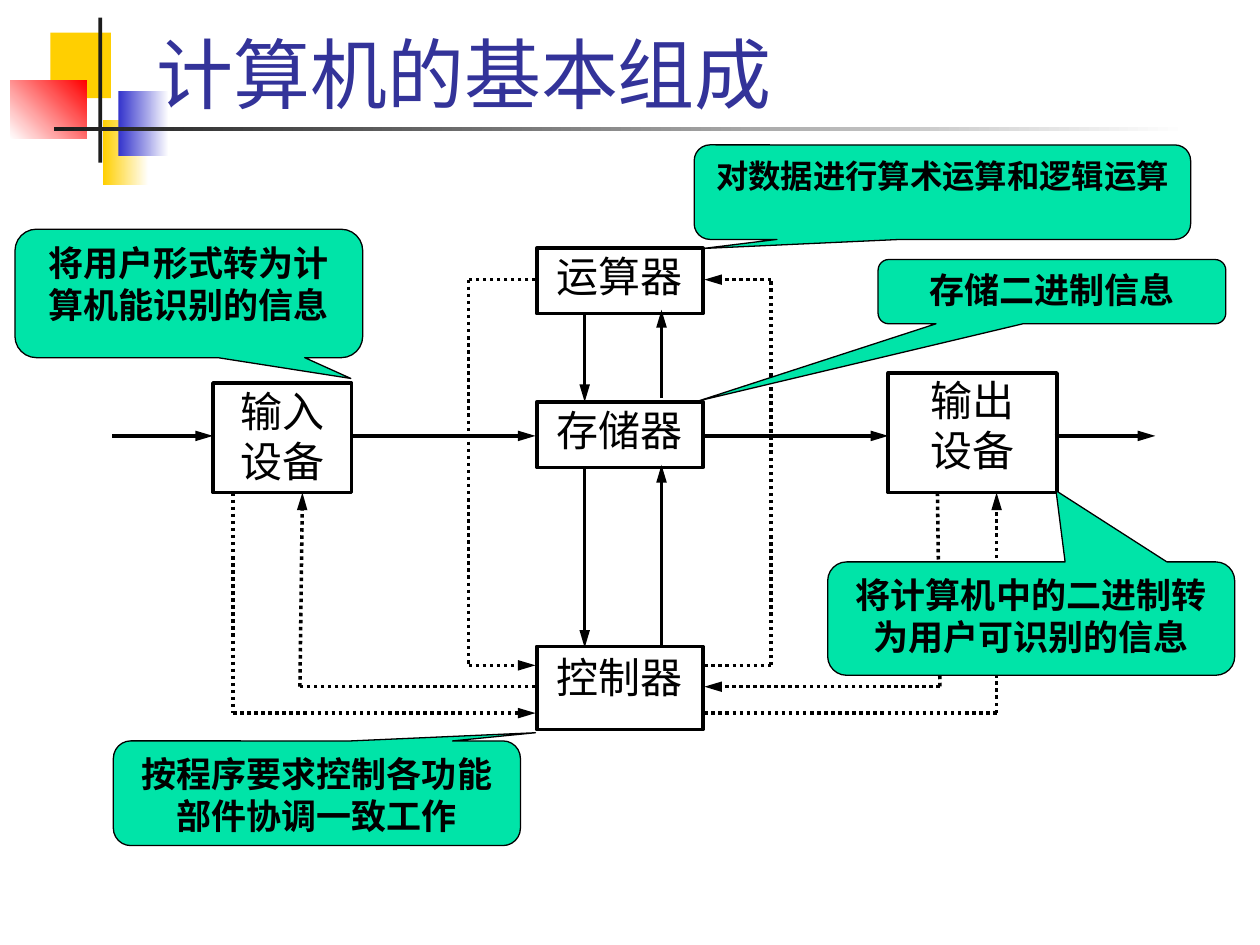
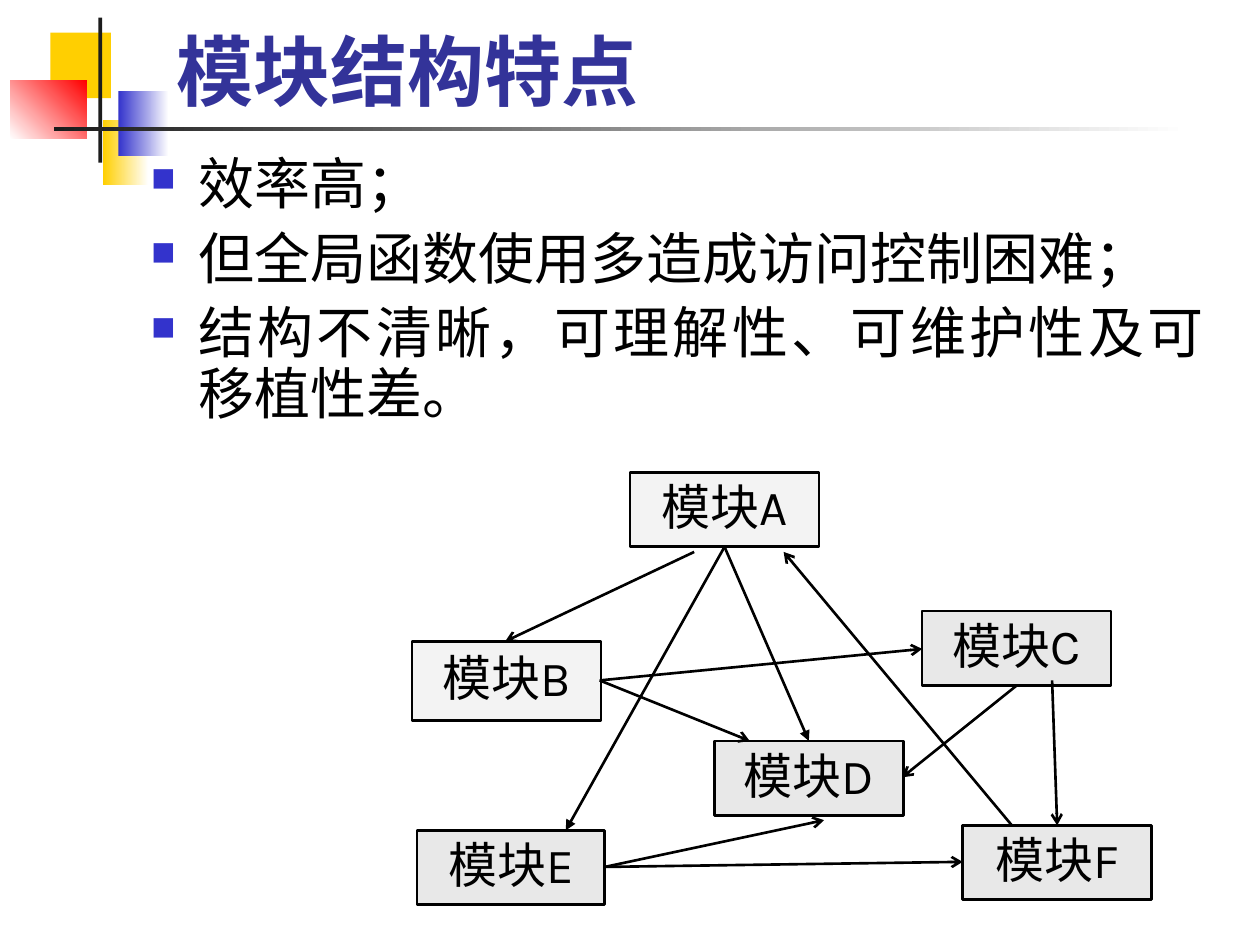
from dataclasses import dataclass
from itertools import pairwise
from typing import Optional

import lxml.etree
import pptx
import pptx.dml.color
import pptx.enum.dml
import pptx.enum.shapes
import pptx.enum.text
import pptx.oxml.ns
import pptx.util

Pt = pptx.util.Pt
qn = pptx.oxml.ns.qn
ALIGN = pptx.enum.text.PP_ALIGN
ANCHOR = pptx.enum.text.MSO_ANCHOR
SHAPE = pptx.enum.shapes.MSO_SHAPE

COLORS = {
    "white": "FFFFFF",
    "black": "000000",
    "ink": "1C1C1C",
    "yellow": "FFCF01",
    "blue": "3333CC",
    "red": "FF0000",
    "title": "333399",
    "callout": "00E4A8",
    "module": "E8E8E8",
}
DISPLAY = "Karla"
SERIF = "Times New Roman"

Point = tuple[float, float]
Frame = tuple[float, float, float, float]


@dataclass(frozen=True)
class Style:
    size: float
    font: str
    color: str = "black"
    bold: bool = False
    align: Optional[ALIGN] = ALIGN.CENTER
    anchor: ANCHOR = ANCHOR.TOP
    insets: Point = (7.2, 3.6)
    wrap: bool = True
    spacing: Optional[float] = None


@dataclass(frozen=True)
class Ornament:
    frame: Frame
    start: str
    end: Optional[str] = None
    angle: float = 0


@dataclass(frozen=True)
class Unit:
    frame: Frame
    lines: tuple[str, ...]
    insets: Point


@dataclass(frozen=True)
class Callout:
    frame: Frame
    tip: Point
    text: str
    size: float = 20


@dataclass(frozen=True)
class Module:
    letter: str
    frame: Frame
    opacity: int = 100


@dataclass(frozen=True)
class Stroke:
    width: float
    head: str = "triangle"
    length: str = "med"
    dotted: bool = False


ORNAMENTS = [
    Ornament((28.8, 18.7, 34.6, 37.4), "yellow"),
    Ornament((59, 68.4, 25.9, 37.4), "yellow", "white"),
    Ornament((67.7, 51.8, 28.8, 37.4), "blue", "white"),
    Ornament((5.8, 46.1, 43.9, 33.1), "white", "red", 45),
    Ornament((56.2, 10.1, 2.2, 82.8), "ink"),
    Ornament((31, 72.7, 648, 2.2), "ink", "white"),
]

UNITS = [
    Unit((306.7, 141.8, 95, 37.4), ("运算器",), (7.2, 1.44)),
    Unit((306.7, 229.7, 95, 37.4), ("存储器",), (7.2, 1.44)),
    Unit((306.7, 369.4, 95, 47.5), ("控制器",), (7.2, 2.88)),
    Unit((121.7, 218.9, 79.2, 62.6), ("输入", "设备"), (1.44, 1.44)),
    Unit((507.6, 213.1, 96.5, 68.4), ("输出", "设备"), (1.44, 0.72)),
]

DATA_ROUTES = [
    [(64.1, 249.1), (121.7, 249.1)],
    [(200.9, 249.1), (306, 249.1)],
    [(402.5, 249.1), (507.6, 249.1)],
    [(602.6, 249.1), (660.2, 249.1)],
    [(334.1, 178.6), (334.1, 229.7)],
    [(378, 227.5), (378, 177.1)],
    [(334.1, 267.1), (334.1, 370.1)],
    [(378, 368.6), (378, 265.7)],
]

CONTROL_ROUTES = [
    [(306, 159.8), (267.8, 159.8), (267.8, 380.2), (306, 380.2)],
    [(402.5, 380.2), (440.6, 380.2), (440.6, 159.8), (402.5, 159.8)],
    [(306, 392.4), (171.4, 392.4), (172.8, 281.5)],
    [(133.2, 281.5), (133.2, 407.5), (306, 407.5)],
    [(535.7, 281.5), (537.1, 392.4), (402.5, 392.4)],
    [(402.5, 407.5), (569.5, 407.5), (569.5, 281.5)],
]

CALLOUTS = [
    Callout((396.7, 82.8, 283.7, 54), (401.8, 142), "对数据进行算术运算和逻辑运算", 18.5),
    Callout((501.8, 148.3, 198.7, 36.7), (399.5, 229), "存储二进制信息"),
    Callout((64.8, 423.4, 232.6, 59.8), (306, 418.7), "按程序要求控制各功能部件协调一致工作"),
    Callout((8.6, 131, 198.7, 73.4), (200.5, 216.3), "将用户形式转为计算机能识别的信息"),
    Callout((473, 321.1, 232.6, 64.8), (603.5, 280.4), "将计算机中的二进制转为用户可识别的信息"),
]

FEATURES = [
    "效率高；",
    "但全局函数使用多造成访问控制困难；",
    "结构不清晰，可理解性、可维护性及可移植性差。",
]

MODULES = [
    Module("A", (360, 270, 108, 42.5), 48),
    Module("B", (235.4, 366.5, 108, 45.4), 52),
    Module("C", (527, 349.2, 108, 42.5)),
    Module("D", (408.2, 423.4, 108, 42.5)),
    Module("E", (238.3, 474.5, 107.3, 42.5)),
    Module("F", (550.1, 471.6, 108, 42.5)),
]

FILLED_CALLS = [
    [(414, 312.5), (462.2, 423.4)],
    [(414, 312.5), (323.3, 474.5)],
]

OPEN_CALLS = [
    [(342.7, 388.8), (527, 370.8)],
    [(396.7, 315.4), (288.7, 366.5)],
    [(581, 391.7), (515.5, 444.2)],
    [(342.7, 388.8), (428.4, 423.4)],
    [(601.2, 388.8), (604.1, 471.6)],
    [(345.6, 495.4), (470.9, 468.7)],
    [(345.6, 495.4), (550.1, 492.5)],
    [(578.2, 471.6), (447.8, 315.4)],
]


def rgb(color: str) -> pptx.dml.color.RGBColor:
    return pptx.dml.color.RGBColor.from_string(COLORS[color])


def write(shape, lines: tuple[str, ...], style: Style) -> list:
    frame = shape.text_frame
    frame.word_wrap = style.wrap
    frame.vertical_anchor = style.anchor
    frame.margin_left = frame.margin_right = Pt(style.insets[0])
    frame.margin_top = frame.margin_bottom = Pt(style.insets[1])
    for index, line in enumerate(lines):
        para = frame.add_paragraph() if index else frame.paragraphs[0]
        para.alignment = style.align
        para.line_spacing = style.spacing
        span = para.add_run()
        span.text = line
        span.font.name = style.font
        span.font.size = Pt(style.size)
        span.font.bold = style.bold
        span.font.color.rgb = rgb(style.color)
    return list(frame.paragraphs)


def add_text(page, frame: Frame, lines: tuple[str, ...], style: Style) -> list:
    return write(page.shapes.add_textbox(*map(Pt, frame)), lines, style)


def add_box(page, frame: Frame, fill: str, border: float = 0, kind: SHAPE = SHAPE.RECTANGLE):
    box = page.shapes.add_shape(kind, *map(Pt, frame))
    box.shadow.inherit = False
    box.fill.solid()
    box.fill.fore_color.rgb = rgb(fill)
    if border:
        box.line.width = Pt(border)
        box.line.color.rgb = rgb("black")
    else:
        box.line.fill.background()
    return box


def add_ornament(page, ornament: Ornament) -> None:
    box = add_box(page, ornament.frame, ornament.start)
    if ornament.end:
        box.fill.gradient()
        box.fill.gradient_angle = ornament.angle
        for stop, color in zip(box.fill.gradient_stops, (ornament.start, ornament.end)):
            stop.color.rgb = rgb(color)


def add_route(page, points: list[Point], stroke: Stroke) -> None:
    for start, end in pairwise(points):
        line = page.shapes.add_connector(
            pptx.enum.shapes.MSO_CONNECTOR.STRAIGHT, *map(Pt, start + end)
        )
        line.line.width = Pt(stroke.width)
        line.line.color.rgb = rgb("black")
        if stroke.dotted:
            line.line.dash_style = pptx.enum.dml.MSO_LINE.ROUND_DOT
        properties = line.element.spPr
        if end == points[-1]:
            lxml.etree.SubElement(
                properties.find(qn("a:ln")), qn("a:tailEnd"),
                type=stroke.head, w="med", len=stroke.length,
            )
        lxml.etree.SubElement(properties, qn("a:effectLst"))


def add_callout(page, callout: Callout) -> None:
    left, top, width, height = callout.frame
    box = add_box(page, callout.frame, "callout", 0.75, SHAPE.ROUNDED_RECTANGULAR_CALLOUT)
    box.adjustments[0] = (callout.tip[0] - left) / width - 0.5
    box.adjustments[1] = (callout.tip[1] - top) / height - 0.5
    write(box, (callout.text,), Style(callout.size, DISPLAY, bold=True))


def add_module(page, module: Module) -> None:
    box = add_box(page, module.frame, "module", 1.5)
    if module.opacity < 100:
        color = box.element.spPr.find(qn("a:solidFill"))[0]
        lxml.etree.SubElement(color, qn("a:alpha"), val=str(module.opacity * 1000))
    style = Style(28, DISPLAY, anchor=ANCHOR.MIDDLE, wrap=False, spacing=0.9)
    write(box, (f"模块{module.letter}",), style)


def add_bullet(para) -> None:
    properties = para._p.get_or_add_pPr()
    properties.set("marL", str(Pt(27)))
    properties.set("indent", str(-Pt(27)))
    color = lxml.etree.SubElement(properties, qn("a:buClr"))
    lxml.etree.SubElement(color, qn("a:srgbClr"), val=COLORS["blue"])
    lxml.etree.SubElement(properties, qn("a:buSzPct"), val="60000")
    lxml.etree.SubElement(properties, qn("a:buChar"), char="■")


def add_page(deck, title: str, frame: Frame, bold: bool = False):
    page = deck.slides.add_slide(deck.slide_layouts[6])
    for ornament in ORNAMENTS:
        add_ornament(page, ornament)
    style = Style(44, DISPLAY, "title", bold, ALIGN.LEFT, ANCHOR.BOTTOM)
    add_text(page, frame, (title,), style)
    return page


def build_components(deck) -> None:
    page = add_page(deck, "计算机的基本组成", (82.1, 15.1, 618.5, 56.2))
    for unit in UNITS:
        box = add_box(page, unit.frame, "white", 2)
        write(box, unit.lines, Style(24, SERIF, insets=unit.insets))
    for route in DATA_ROUTES:
        add_route(page, route, Stroke(2, length="lg"))
    for route in CONTROL_ROUTES:
        add_route(page, route, Stroke(2, length="lg", dotted=True))
    for callout in CALLOUTS:
        add_callout(page, callout)


def build_modules(deck) -> None:
    page = add_page(deck, "模块结构特点", (93.6, 9.4, 545, 60.5), bold=True)
    style = Style(32, SERIF, align=ALIGN.JUSTIFY, spacing=0.9)
    paras = add_text(page, (79.2, 85.7, 616.3, 175.7), tuple(FEATURES), style)
    for index, para in enumerate(paras):
        add_bullet(para)
        para.space_before = Pt(8 if index else 0)
    for module in MODULES:
        add_module(page, module)
    for route in FILLED_CALLS:
        add_route(page, route, Stroke(1.5))
    for route in OPEN_CALLS:
        add_route(page, route, Stroke(1.5, "arrow"))


def main() -> None:
    deck = pptx.Presentation()
    deck.slide_width, deck.slide_height = Pt(720), Pt(540)
    build_components(deck)
    build_modules(deck)
    deck.save("out.pptx")


if __name__ == "__main__":
    main()
